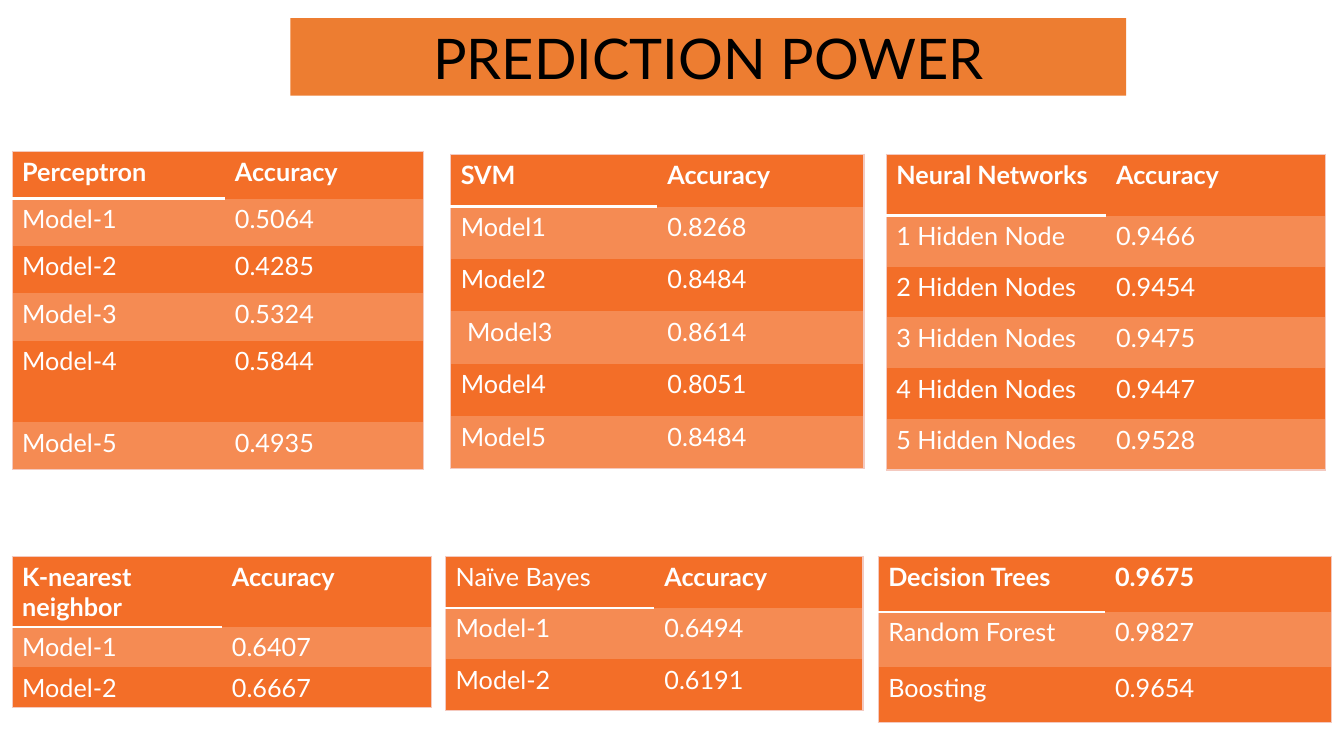
from dataclasses import dataclass

from lxml.etree import SubElement
from pptx import Presentation
from pptx.dml.color import RGBColor
from pptx.enum.shapes import MSO_SHAPE
from pptx.enum.text import MSO_ANCHOR, PP_ALIGN
from pptx.oxml.ns import qn
from pptx.util import Inches, Pt


@dataclass(frozen=True)
class Theme:
    """Colours, font and type sizes of the slide."""
    font: str = "Lato"
    title_size: int = 40
    table_size: int = 18
    title_fill: str = "ED7D31"
    title_text: str = "000000"
    row_fill: str = "F36E28"
    band_fill: str = "F58B53"
    table_text: str = "FFFFFF"
    header_rule: str = "FFFFFF"
    frame: str = "F4C9BF"
    plain_table_style: str = "{2D5ABB26-0587-4C30-8999-92F81FD0307C}"


@dataclass(frozen=True)
class AccuracyTable:
    """Place, sizes and records of one accuracy table."""
    left: float
    top: float
    columns: tuple
    heights: tuple
    records: tuple
    bold_name: bool = True


THEME = Theme()

TABLES = (
    AccuracyTable(
        0.12, 1.5, (2.11, 1.97), (0.47, 0.47, 0.47, 0.47, 0.81, 0.47),
        (("Perceptron", "Accuracy"), ("Model-1", "0.5064"), ("Model-2", "0.4285"),
         ("Model-3", "0.5324"), ("Model-4", "0.5844"), ("Model-5", "0.4935"))),
    AccuracyTable(
        4.47, 1.53, (2.05, 2.05), (0.52,) * 6,
        (("SVM", "Accuracy"), ("Model1", "0.8268"), ("Model2", "0.8484"),
         (" Model3", "0.8614"), ("Model4", "0.8051"), ("Model5", "0.8484"))),
    AccuracyTable(
        8.79, 1.53, (2.18, 2.18), (0.61,) + (0.505,) * 5,
        (("Neural Networks", "Accuracy"), ("1 Hidden Node", "0.9466"),
         ("2 Hidden Nodes", "0.9454"), ("3 Hidden Nodes", "0.9475"),
         ("4 Hidden Nodes", "0.9447"), ("5 Hidden Nodes", "0.9528"))),
    AccuracyTable(
        0.12, 5.52, (2.08, 2.08), (0.7, 0.4, 0.4),
        (("K-nearest neighbor", "Accuracy"), ("Model-1", "0.6407"), ("Model-2", "0.6667"))),
    AccuracyTable(
        4.42, 5.52, (2.07, 2.07), (0.51,) * 3,
        (("Naïve Bayes", "Accuracy"), ("Model-1", "0.6494"), ("Model-2", "0.6191")),
        bold_name=False),
    AccuracyTable(
        8.71, 5.52, (2.25, 2.25), (0.55,) * 3,
        (("Decision Trees", "0.9675"), ("Random Forest", "0.9827"), ("Boosting", "0.9654"))),
)


def write_text(text_frame, text, *, size, color, bold=False, align=PP_ALIGN.LEFT):
    """Write one formatted paragraph into a text frame."""
    paragraph = text_frame.paragraphs[0]
    paragraph.alignment = align
    run = paragraph.add_run()
    run.text = text
    run.font.name = THEME.font
    run.font.size = Pt(size)
    run.font.bold = bold
    run.font.color.rgb = RGBColor.from_string(color)


def add_border(cell, side, color, width):
    """Draw one side of a table cell."""
    line = SubElement(cell._tc.get_or_add_tcPr(), qn(f"a:ln{side}"), w=str(Pt(width)))
    fill = SubElement(line, qn("a:solidFill"))
    SubElement(fill, qn("a:srgbClr"), val=color)


def frame_cell(cell, row, column, last_row):
    """Draw the outer frame and the rule below the table name."""
    add_border(cell, "R" if column else "L", THEME.frame, 1)
    if row == 0:
        add_border(cell, "T", THEME.frame, 1)
        if column == 0:
            add_border(cell, "B", THEME.header_rule, 2)
    elif row == last_row:
        add_border(cell, "B", THEME.frame, 1)


def add_accuracy_table(slide, content):
    """Add a two-column table with banded rows."""
    frame = slide.shapes.add_table(
        len(content.records), 2, Inches(content.left), Inches(content.top),
        Inches(sum(content.columns)), Inches(sum(content.heights)))
    for style in frame.element.iter(qn("a:tableStyleId")):
        style.text = THEME.plain_table_style
    table = frame.table
    for column, width in zip(table.columns, content.columns):
        column.width = Inches(width)
    for row, height in zip(table.rows, content.heights):
        row.height = Inches(height)
    for row, record in enumerate(content.records):
        for column, text in enumerate(record):
            cell = table.cell(row, column)
            frame_cell(cell, row, column, len(content.records) - 1)
            cell.fill.solid()
            cell.fill.fore_color.rgb = RGBColor.from_string(
                THEME.band_fill if row % 2 else THEME.row_fill)
            bold = row == 0 and (column == 1 or content.bold_name)
            write_text(cell.text_frame, text, size=THEME.table_size,
                       color=THEME.table_text, bold=bold)


def add_title(slide, text):
    """Add the filled title bar."""
    shape = slide.shapes.add_shape(
        MSO_SHAPE.RECTANGLE, Inches(2.88), Inches(0.18), Inches(8.29), Inches(0.77))
    shape.shadow.inherit = False
    shape.fill.solid()
    shape.fill.fore_color.rgb = RGBColor.from_string(THEME.title_fill)
    shape.line.fill.background()
    shape.text_frame.word_wrap = True
    shape.text_frame.vertical_anchor = MSO_ANCHOR.TOP
    write_text(shape.text_frame, text, size=THEME.title_size,
               color=THEME.title_text, align=PP_ALIGN.CENTER)


def main():
    """Build and save the slide."""
    presentation = Presentation()
    presentation.slide_width = Inches(13.33)
    presentation.slide_height = Inches(7.5)
    slide = presentation.slides.add_slide(presentation.slide_layouts[6])
    for content in TABLES:
        add_accuracy_table(slide, content)
    add_title(slide, "PREDICTION POWER")
    presentation.save("out.pptx")


if __name__ == "__main__":
    main()
